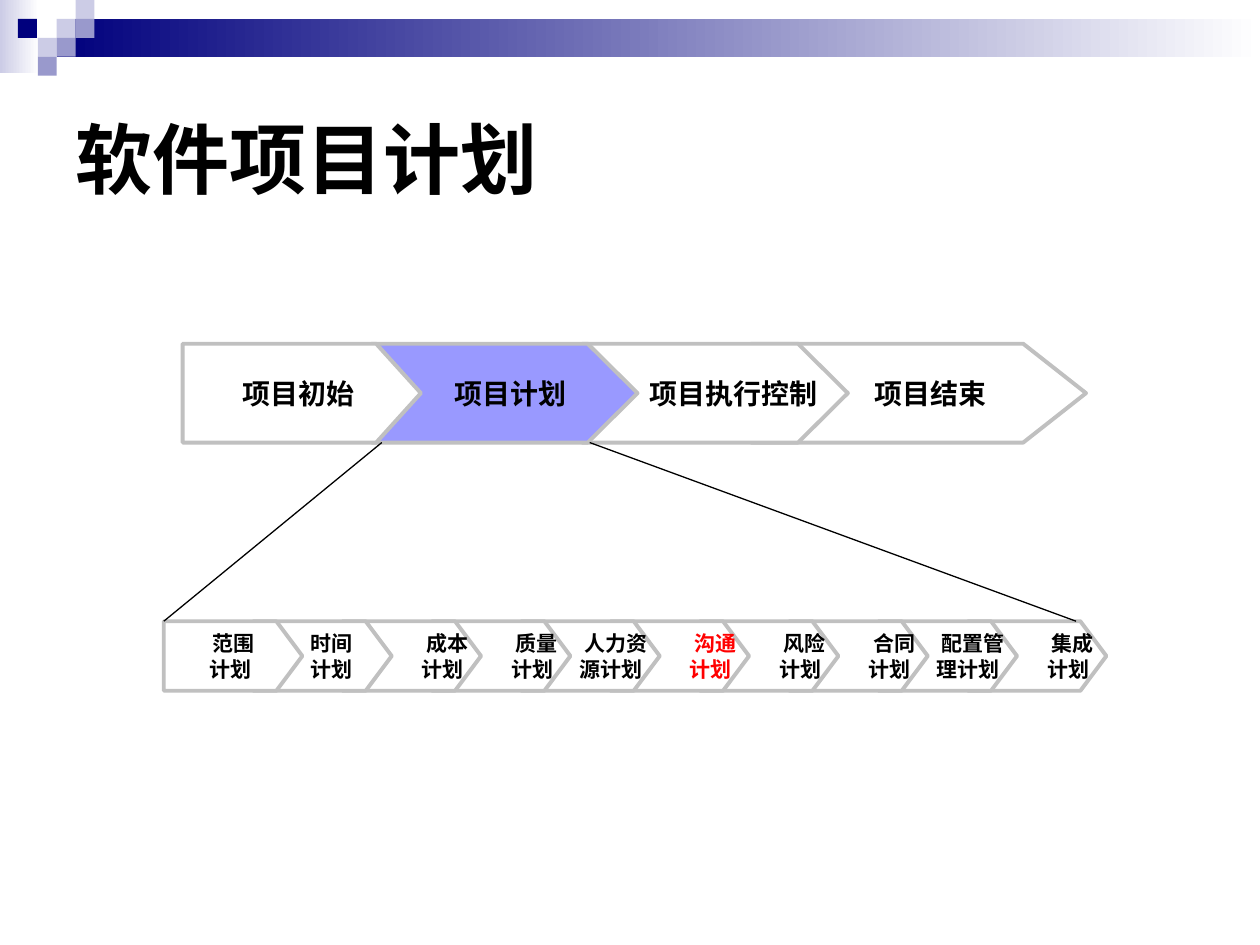
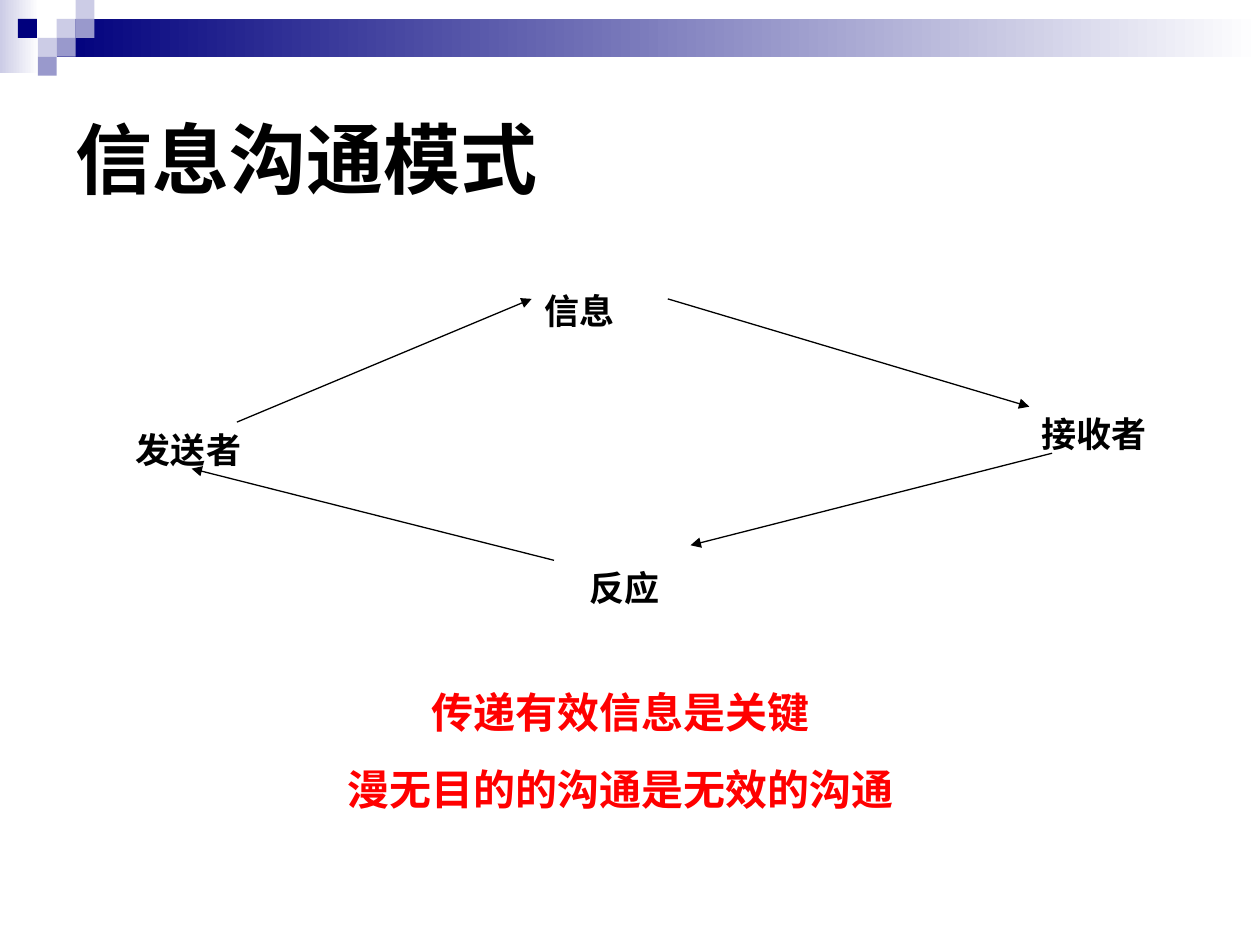
import dataclasses

import pptx
import pptx.dml.color
import pptx.enum.shapes
import pptx.enum.text
import pptx.oxml
import pptx.oxml.ns
import pptx.util

Pt = pptx.util.Pt
ALIGN = pptx.enum.text.PP_ALIGN
ANCHOR = pptx.enum.text.MSO_ANCHOR
RECTANGLE = pptx.enum.shapes.MSO_SHAPE.RECTANGLE
STRAIGHT = pptx.enum.shapes.MSO_CONNECTOR.STRAIGHT


@dataclasses.dataclass(frozen=True)
class Theme:
    ink: str = "000000"
    paper: str = "FFFFFF"
    navy: str = "00007D"
    mist: str = "CCCCE6"
    lavender: str = "9999CC"
    current: str = "9999FF"
    border: str = "C0C0C0"
    accent: str = "FF0000"
    cjk_font: str = "Noto Sans CJK SC"
    label_font: str = "Times New Roman"
    message_font: str = "Arial"
    title_size: int = 44
    message_size: int = 24
    label_size: int = 20
    phase_size: int = 16
    plan_size: int = 12


THEME = Theme()
TILE = 10.8
TIP_SHARE = 0.1875

PHASES = [
    ("项目初始 ", 104.4, 136.1, THEME.paper, 0),
    ("项目计划", 212.4, 151.9, THEME.current, 7),
    ("项目执行控制", 332.6, 151.9, THEME.paper, 21),
    ("项目结束", 429.1, 191.5, THEME.paper, 14),
]
PLANS = [
    "范围\n计划 ", "时间\n计划", "成本\n计划 ", "质量\n计划 ", "人力资\n源计划 ",
    "沟通\n计划 ", "风险\n计划 ", "合同\n计划 ", "配置管\n理计划 ", "集成\n计划 ",
]


def rgb(code):
    return pptx.dml.color.RGBColor.from_string(code)


def write(frame, text, *, size, font=THEME.cjk_font, color=THEME.ink,
          align=ALIGN.LEFT, anchor=ANCHOR.MIDDLE, wrap=True, before=0, indent=0):
    frame.word_wrap = wrap
    frame.auto_size = pptx.enum.text.MSO_AUTO_SIZE.NONE
    frame.vertical_anchor = anchor
    frame.margin_left = Pt(7.2 + indent)
    frame.margin_right = Pt(7.2)
    frame.margin_top = frame.margin_bottom = Pt(3.6)
    for index, line in enumerate(text.split("\n")):
        paragraph = frame.add_paragraph() if index else frame.paragraphs[0]
        paragraph.alignment = align
        paragraph.space_before = Pt(before)
        run = paragraph.add_run()
        run.text = line
        run.font.size = Pt(size)
        run.font.bold = True
        run.font.name = font
        run.font.color.rgb = rgb(color)
        east_asian = pptx.oxml.parse_xml(
            f'<a:ea {pptx.oxml.ns.nsdecls("a")} typeface="{THEME.cjk_font}"/>')
        run.font._element.get_or_add_latin().addnext(east_asian)


def paint(shape, fill, border=None):
    shape.shadow.inherit = False
    shape.fill.solid()
    shape.fill.fore_color.rgb = rgb(fill)
    if border:
        shape.line.color.rgb = rgb(border)
        shape.line.width = Pt(2.25)
    else:
        shape.line.fill.background()


def add_block(slide, left, top, width, height, fill, fade=False):
    block = slide.shapes.add_shape(RECTANGLE, Pt(left), Pt(top), Pt(width), Pt(height))
    paint(block, fill)
    if fade:
        block.fill.gradient()
        block.fill.gradient_angle = 0
        for stop, color in zip(block.fill.gradient_stops, (fill, THEME.paper)):
            stop.color.rgb = rgb(color)
    return block


def add_header_to_layout(layout, slide):
    header = [
        add_block(slide, 0, 0, 22.3, 41.8, THEME.mist, fade=True),
        add_block(slide, 3 * TILE, TILE, 687.6, 2 * TILE, THEME.navy, fade=True),
    ]
    tiles = [
        (3, 1, THEME.mist), (4, 0, THEME.mist), (4, 1, THEME.lavender),
        (2, 2, THEME.mist), (0.95, 1, THEME.navy), (3, 2, THEME.lavender),
        (2, 3, THEME.lavender),
    ]
    for column, row, color in tiles:
        header.append(add_block(slide, column * TILE, row * TILE, TILE, TILE, color))
    for index, part in enumerate(header):
        part.element.nvSpPr.cNvPr.id = 100 + index
        layout.shapes.element.insert(2 + index, part.element)


def set_title(slide, text):
    title = slide.shapes.title
    title.left, title.top, title.width, title.height = Pt(36), Pt(36), Pt(648), Pt(108)
    write(title.text_frame, text, size=THEME.title_size)


def add_step(slide, text, left, top, width, height, fill=THEME.paper, **text_format):
    shoulder = left + width * (1 - TIP_SHARE)
    outline = [
        (shoulder, top), (left + width, top + height / 2),
        (shoulder, top + height), (left, top + height),
    ]
    builder = slide.shapes.build_freeform(Pt(left), Pt(top))
    builder.add_line_segments([(Pt(x), Pt(y)) for x, y in outline], close=True)
    step = builder.convert_to_shape()
    paint(step, fill, THEME.border)
    write(step.text_frame, text, wrap=False, **text_format)


def add_line(slide, start, end, arrow=False):
    line = slide.shapes.add_connector(STRAIGHT, *(Pt(value) for value in start + end))
    line.line.color.rgb = rgb(THEME.ink)
    line.line.width = Pt(0.75)
    if arrow:
        line.line._get_or_add_ln().append(pptx.oxml.parse_xml(
            f'<a:tailEnd {pptx.oxml.ns.nsdecls("a")} type="triangle"/>'))
    line.element.spPr.append(pptx.oxml.parse_xml(
        f'<a:effectLst {pptx.oxml.ns.nsdecls("a")}/>'))
    return line


def add_role(slide, text, left, top, width=77.8):
    role = add_block(slide, left, top, width, 26.6, THEME.paper)
    write(role.text_frame, text, size=THEME.label_size, font=THEME.label_font,
          align=ALIGN.JUSTIFY, anchor=ANCHOR.TOP)
    return role


def build_planning(slide):
    set_title(slide, "软件项目计划")
    for text, left, width, fill, indent in reversed(PHASES):
        add_step(slide, text, left, 196.4, width, 56.5, fill,
                 size=THEME.phase_size, align=ALIGN.CENTER, indent=indent)
    for index, text in reversed(list(enumerate(PLANS))):
        add_step(slide, text, 93.6 + index * 51.05, 355, 79.2, 39.7,
                 size=THEME.plan_size,
                 align=ALIGN.CENTER if index < 2 else ALIGN.RIGHT,
                 indent=10 if index == 1 else 0,
                 color=THEME.accent if text.startswith("沟通") else THEME.ink)
    add_line(slide, (218.2, 252.9), (93.6, 355))
    add_line(slide, (337, 252.9), (614.9, 355))


def build_communication(slide):
    set_title(slide, "信息沟通模式")
    sender = add_role(slide, "发送者", 70.6, 241.2)
    add_role(slide, "接收者", 588.2, 232.4)
    add_role(slide, "信息", 303.8, 162)
    add_role(slide, "反应", 329.8, 320.4, 64.8)
    add_line(slide, (135.4, 241.2), (303.8, 170.8), arrow=True)
    add_line(slide, (381.6, 170.8), (588.2, 232.4), arrow=True)
    add_line(slide, (601.2, 259), (394.6, 311.6), arrow=True)
    feedback = add_line(slide, (316.6, 320.2), (109.5, 267.8), arrow=True)
    feedback.end_connect(sender, 2)
    message = slide.shapes.add_textbox(Pt(59.8), Pt(388.8), Pt(589.7), Pt(79.9))
    write(message.text_frame, "传递有效信息是关键\n漫无目的的沟通是无效的沟通",
          size=THEME.message_size, font=THEME.message_font, color=THEME.accent,
          align=ALIGN.CENTER, anchor=ANCHOR.TOP, before=15)


def main():
    deck = pptx.Presentation()
    deck.slide_width, deck.slide_height = Pt(720), Pt(540)
    title_only = deck.slide_layouts[5]
    planning = deck.slides.add_slide(title_only)
    add_header_to_layout(title_only, planning)
    build_planning(planning)
    build_communication(deck.slides.add_slide(title_only))
    deck.save("out.pptx")


if __name__ == "__main__":
    main()
